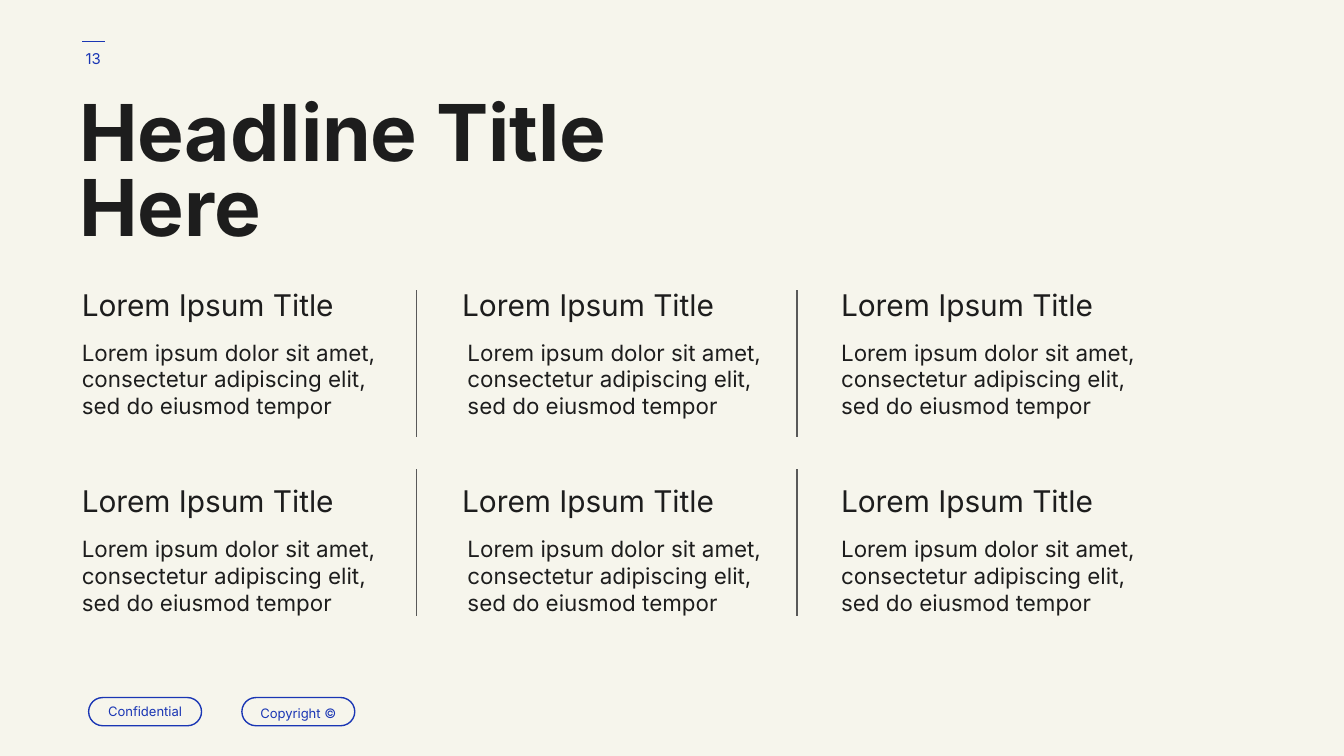
import pptx
import pptx.util
import pptx.dml.color
import pptx.enum.shapes
import pptx.enum.text
import pptx.oxml

Inches, Pt = pptx.util.Inches, pptx.util.Pt
ALIGN = pptx.enum.text.PP_ALIGN
ANCHOR = pptx.enum.text.MSO_ANCHOR
KIND = pptx.enum.shapes.MSO_SHAPE
STRAIGHT = pptx.enum.shapes.MSO_CONNECTOR.STRAIGHT

BLUE, INK, GREY, CREAM = "1A36B4", "1D1D1D", "595959", "F6F5EC"

HEAD = ["Headline Title", "Here"]
BLURB = "Lorem ipsum dolor sit amet, consectetur adipiscing elit, sed do eiusmod tempor"
CARDS = [[("Lorem Ipsum Title", BLURB)] * 3] * 2
PILLS = [("Confidential", 1), ("Copyright ©", 1.15)]

COLS = [(0.51, 0.51), (3.34, 3.38), (6.16, 6.16)]  # left of title, left of body
ROWS = [(2.03, 2.16), (3.49, 3.49)]  # top of title, top of dividers
EDGES = [3.1, 5.93]


def color(code):
    return pptx.dml.color.RGBColor.from_string(code)


def write(shape, lines, size, code, bold=False, space=1.0,
          align=ALIGN.LEFT, anchor=ANCHOR.TOP):
    frame = shape.text_frame
    frame.word_wrap = True
    frame.vertical_anchor = anchor
    for side in ("left", "top", "right", "bottom"):
        setattr(frame, "margin_" + side, Inches(0.1))
    frame.text = "\n".join(lines)
    look = {"name": "Inter", "size": Pt(size), "bold": bold}
    for para in frame.paragraphs:
        para.alignment = align
        para.line_spacing = space
        for key, value in look.items():
            setattr(para.font, key, value)
        para.font.color.rgb = color(code)


def label(box, lines, size, code, **rest):
    write(slide.shapes.add_textbox(*map(Inches, box)), lines, size, code, **rest)


def rule(ends, code):
    line = slide.shapes.add_connector(STRAIGHT, *map(Inches, ends))
    line.line.color.rgb = color(code)
    line.line.width = Pt(0.75)
    line._element.spPr.append(pptx.oxml.parse_xml(
        '<a:effectLst xmlns:a="http://schemas.openxmlformats.org/drawingml/2006/main"/>'))


def pill(box, text, space):
    shape = slide.shapes.add_shape(KIND.ROUNDED_RECTANGLE, *map(Inches, box))
    shape.adjustments[0] = 0.5
    shape.shadow.inherit = False
    shape.fill.background()
    shape.line.color.rgb = color(BLUE)
    shape.line.width = Pt(0.75)
    write(shape, [text], 7, BLUE, space=space,
          align=ALIGN.CENTER, anchor=ANCHOR.MIDDLE)


deck = pptx.Presentation()
deck.slide_width = Inches(10)
deck.slide_height = deck.slide_width * 9 // 16
slide = deck.slides.add_slide(deck.slide_layouts[6])
slide.background.fill.solid()
slide.background.fill.fore_color.rgb = color(CREAM)

rule((0.78, 0.31, 0.61, 0.31), BLUE)
for i, (text, space) in enumerate(PILLS):
    pill((0.66 + 1.14 * i, 5.19, 0.84, 0.21), text, space)

label((0.49, 0.65, 4.83, 1.38), HEAD, 42, INK, bold=True, space=0.8)
label((0.46, 0.22, 0.47, 0.43), ["13"], 8, BLUE,
      align=ALIGN.CENTER, anchor=ANCHOR.MIDDLE)

for cards, (top, start) in zip(CARDS, ROWS):
    for (title, body), (left, inner) in zip(cards, COLS):
        label((left, top, 2.35, 0.4), [title], 16, INK)
        label((inner, top + 0.39, 2.39, 0.78), [body], 12, INK)
    for edge in EDGES:
        rule((edge, start, edge, start + 1.09), GREY)

deck.save("out.pptx")
